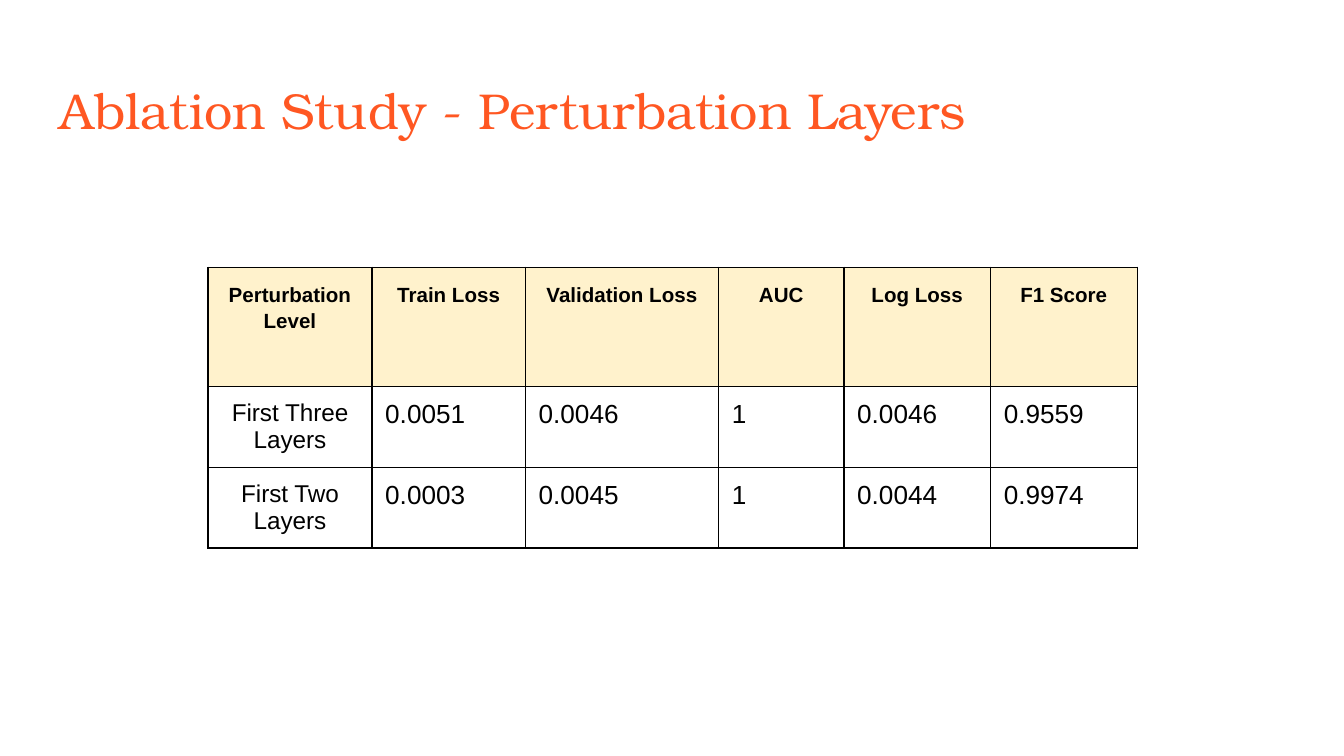
from pptx import Presentation
from pptx.dml.color import RGBColor as Rgb
from pptx.enum.text import MSO_ANCHOR as Anchor, MSO_AUTO_SIZE as Fit, PP_ALIGN as Align
from pptx.oxml import parse_xml
from pptx.util import Cm, Pt

INK = {"title": "FF5722", "text": "000000", "head": "FFF2CC", "line": "000000"}
PAD = Cm(0.25)
NS = "http://schemas.openxmlformats.org/drawingml/2006/main"

HEAD = {"size": Pt(11), "bold": True}
LABEL = {"size": Pt(13), "bold": False}
VALUE = {"size": Pt(14), "bold": False}

WIDTHS = [3.1, 2.9, 3.65, 2.37, 2.77, 2.77]
HEIGHTS = [2.25, 1.53, 1.53]
ROWS = [
    ["Perturbation Level", "Train Loss", "Validation Loss", "AUC", "Log Loss", "F1 Score"],
    ["First Three Layers", "0.0051", "0.0046", "1", "0.0046", "0.9559"],
    ["First Two Layers", "0.0003", "0.0045", "1", "0.0044", "0.9974"],
]


def apply(item, form):
    for name, value in form.items():
        setattr(item, name, value)


class Deck:
    def __init__(self):
        self.prs = Presentation()
        apply(self.prs, {"slide_width": Cm(25.4), "slide_height": Cm(14.29)})
        self.slide = self.prs.slides.add_slide(self.prs.slide_layouts[5])

    def label(self, frame, text, ink, form, align, space=None):
        """Put one styled paragraph in a text frame."""
        para = frame.paragraphs[0]
        apply(para, {"alignment": align, "line_spacing": space})
        run = para.add_run()
        run.text = text
        apply(run.font, form)
        run.font.color.rgb = Rgb.from_string(INK[ink])

    def title(self, text):
        box = self.slide.shapes.title
        apply(box, {"left": Cm(0.87), "top": Cm(1.24), "width": Cm(23.67), "height": Cm(1.6)})
        frame = box.text_frame
        apply(frame, {"margin_left": PAD, "margin_right": PAD, "margin_top": PAD,
                      "margin_bottom": PAD, "vertical_anchor": Anchor.TOP,
                      "auto_size": Fit.NONE, "word_wrap": True})
        form = {"size": Pt(27), "name": "TeX Gyre Bonum"}
        self.label(frame, text, "title", form, Align.LEFT)

    def border(self, cell):
        props = cell._tc.get_or_add_tcPr()
        for spot, side in enumerate(("lnL", "lnR", "lnT", "lnB")):
            props.insert(spot, parse_xml(
                f'<a:{side} xmlns:a="{NS}" w="{Pt(0.75)}"><a:solidFill>'
                f'<a:srgbClr val="{INK["line"]}"/></a:solidFill></a:{side}>'))

    def table(self, rows, left, top):
        area = Cm(left), Cm(top), Cm(sum(WIDTHS)), Cm(sum(HEIGHTS))
        grid = self.slide.shapes.add_table(len(rows), len(WIDTHS), *area).table
        apply(grid, {"first_row": False, "horz_banding": False})
        for col, width in zip(grid.columns, WIDTHS):
            col.width = Cm(width)
        for row, height in zip(grid.rows, HEIGHTS):
            row.height = Cm(height)
        for r, row in enumerate(rows):
            for c, text in enumerate(row):
                self.cell(grid.cell(r, c), text, r == 0, c == 0)

    def cell(self, cell, text, head, first):
        apply(cell, {"margin_left": PAD, "margin_right": PAD,
                     "margin_top": PAD, "margin_bottom": PAD})
        if head:
            cell.fill.solid()
            cell.fill.fore_color.rgb = Rgb.from_string(INK["head"])
        else:
            cell.fill.background()
        self.border(cell)
        form = HEAD if head else LABEL if first else VALUE
        align = Align.CENTER if head or first else Align.LEFT
        self.label(cell.text_frame, text, "text", {"name": "Arial", **form},
                   align, 1.15 if head else None)


def main():
    deck = Deck()
    deck.table(ROWS, 3.93, 5.05)
    deck.title("Ablation Study - Perturbation Layers")
    deck.prs.save("out.pptx")


if __name__ == "__main__":
    main()
